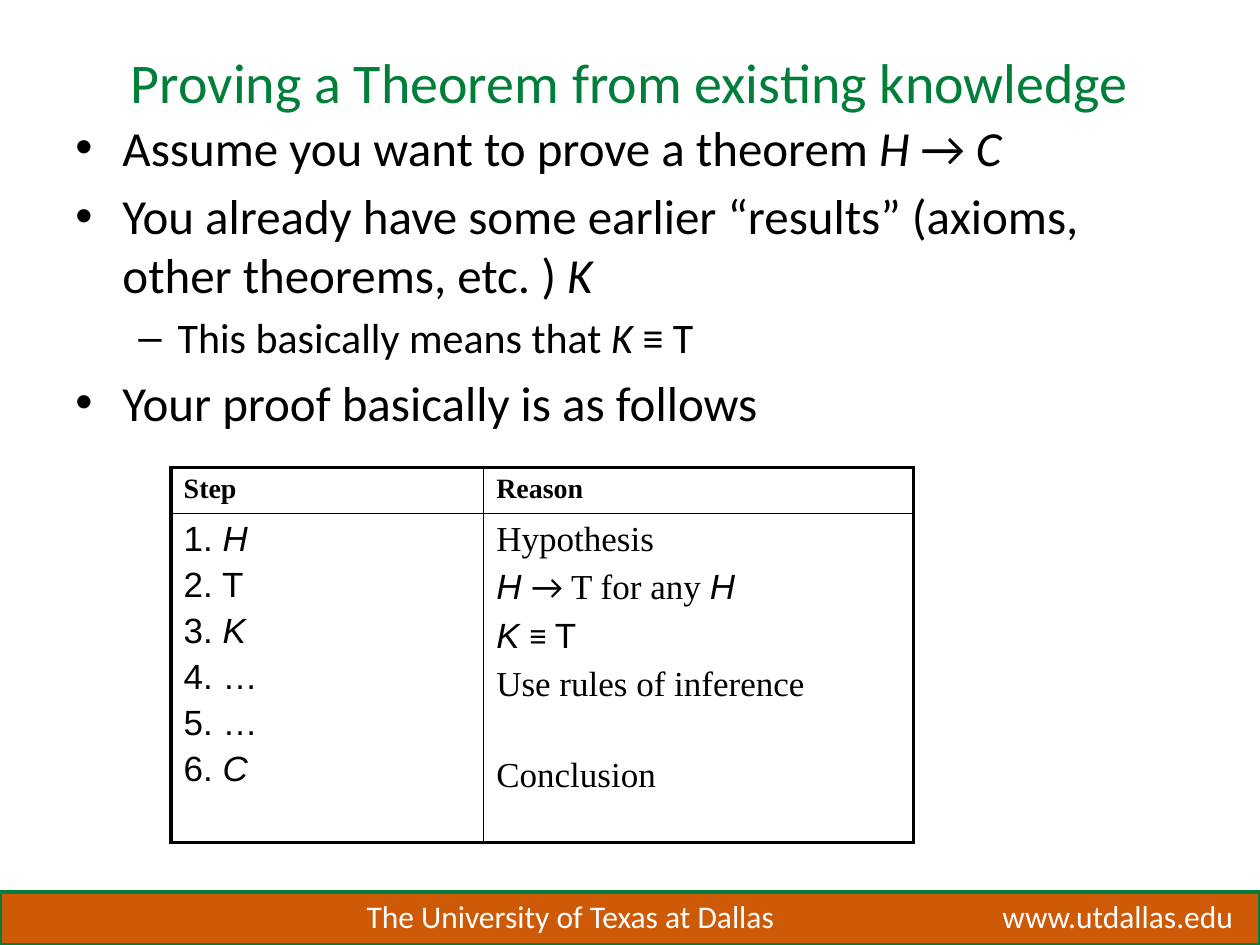
from dataclasses import dataclass

from lxml import etree
from pptx import Presentation
from pptx import util as u
from pptx.dml.color import RGBColor
from pptx.enum import shapes, text
from pptx.oxml import ns

GREEN = RGBColor(0x00, 0x7E, 0x3A)
ORANGE = RGBColor(0xCE, 0x5A, 0x08)
WHITE = RGBColor(0xFF, 0xFF, 0xFF)
BLACK = RGBColor(0x00, 0x00, 0x00)
SANS, ARIAL, SERIF = "Calibri", "Arial", "Times New Roman"
THIN, THICK = 1, 2.25


@dataclass
class Run:
    text: str
    font: str = SANS
    italic: bool = False
    bold: bool = False


@dataclass
class Line:
    runs: list[Run]
    size: float
    level: int = 0
    before: float | None = None  # points; a fifth of the size if not given


@dataclass
class Bullet:
    char: str
    margin: u.Length
    hang: u.Length


@dataclass
class Footer:
    text: str
    left: float
    width: float


BULLETS = [Bullet("•", u.Cm(0.95), u.Cm(0.95)),
           Bullet("–", u.Cm(2.06), u.Cm(0.79))]

FOOTERS = [Footer("The University of Texas at Dallas", 7.14, 8.81),
           Footer("www.utdallas.edu", 19.96, 5.21)]

POINTS = [
    Line([Run("Assume you want to prove a theorem "), Run("H ", italic=True),
          Run("→ "), Run("C", italic=True)], 28),
    Line([Run("You already have some earlier “results” (axioms, other theorems, etc. ) "),
          Run("K", italic=True)], 28),
    Line([Run("This basically means that "), Run("K ", italic=True), Run("≡ T")], 24, level=1),
    Line([Run("Your proof basically is as follows")], 28),
]

HEADINGS = [[Line([Run(name, SERIF, bold=True)], 16)] for name in ("Step", "Reason")]
STEPS = [Line([Run(f"{n}. ", ARIAL), Run(step, ARIAL, italic=step in "HKC")], 20)
         for n, step in enumerate("HTK……C", 1)]
REASONS = [
    Line([Run("Hypothesis", SERIF)], 20),
    Line([Run("H ", ARIAL, italic=True), Run("→"), Run(" T for any ", SERIF),
          Run("H", ARIAL, italic=True)], 20),
    Line([Run("K ", ARIAL, italic=True), Run("≡ "), Run("T", ARIAL)], 20),
    Line([Run("Use rules of inference", SERIF)], 20),
    Line([Run("Conclusion", SERIF)], 20, before=30),  # level with step 6
]


def style(font, size: float, color: RGBColor, name: str = SANS) -> None:
    font.name, font.size, font.color.rgb = name, u.Pt(size), color


def add_bullet(p, bullet: Bullet) -> None:
    props = p._p.get_or_add_pPr()
    props.set("marL", str(bullet.margin))
    props.set("indent", str(-bullet.hang))
    etree.SubElement(props, ns.qn("a:buFont"), typeface=ARIAL)
    etree.SubElement(props, ns.qn("a:buChar"), char=bullet.char)


def write_lines(tf, lines: list[Line], bulleted: bool = False) -> None:
    for i, line in enumerate(lines):
        p = tf.add_paragraph() if i else tf.paragraphs[0]
        p.level = line.level
        if i:
            p.space_before = u.Pt(line.size / 5 if line.before is None else line.before)
        if bulleted:
            add_bullet(p, BULLETS[line.level])
        for run in line.runs:
            r = p.add_run()
            r.text = run.text
            style(r.font, line.size, BLACK, run.font)
            r.font.italic, r.font.bold = run.italic, run.bold


def set_borders(cell, widths: dict[str, float]) -> None:
    """Put the side lines ahead of the fill, as the schema asks."""
    props = cell._tc.get_or_add_tcPr()
    for i, (side, width) in enumerate(widths.items()):
        ln = etree.Element(ns.qn(f"a:ln{side}"), w=str(u.Pt(width)))
        fill = etree.SubElement(ln, ns.qn("a:solidFill"))
        etree.SubElement(fill, ns.qn("a:srgbClr"), val=str(BLACK))
        props.insert(i, ln)


def add_footer(s) -> None:
    bar = s.shapes.add_shape(shapes.MSO_SHAPE.RECTANGLE,
                             u.Cm(0), u.Cm(17.98), u.Cm(25.4), u.Cm(1.07))
    bar.shadow.inherit = False
    bar.fill.solid()
    bar.fill.fore_color.rgb = ORANGE
    bar.line.color.rgb = GREEN
    bar.line.width = u.Pt(2)
    for item in FOOTERS:
        sp = s.shapes.add_textbox(u.Cm(item.left), u.Cm(17.96), u.Cm(item.width), u.Cm(1.02))
        tf = sp.text_frame
        tf.word_wrap = False
        tf.text = item.text
        style(tf.paragraphs[0].runs[0].font, 18, WHITE)


def add_title(s) -> None:
    sp = s.shapes.title
    sp.left, sp.top, sp.width, sp.height = u.Cm(1.27), u.Cm(0.76), u.Cm(22.86), u.Cm(1.75)
    tf = sp.text_frame
    tf.text = "Proving a Theorem from existing knowledge"
    tf.vertical_anchor = text.MSO_ANCHOR.MIDDLE
    p = tf.paragraphs[0]
    p.alignment = text.PP_ALIGN.CENTER
    style(p.runs[0].font, 32, GREEN)


def add_points(s) -> None:
    sp = s.shapes.add_textbox(u.Cm(1.27), u.Cm(2.24), u.Cm(22.86), u.Cm(6.83))
    sp.text_frame.word_wrap = True
    write_lines(sp.text_frame, POINTS, bulleted=True)


def add_proof(s) -> None:
    rows = [HEADINGS, [STEPS, REASONS]]
    table = s.shapes.add_table(2, 2, u.Cm(3.45), u.Cm(9.42), u.Cm(14.96), u.Cm(7.37)).table
    table.first_row = table.horz_banding = False
    for column, width in zip(table.columns, (6.3, 8.66)):
        column.width = u.Cm(width)
    for row, height in zip(table.rows, (0.74, 6.63)):
        row.height = u.Cm(height)
    for i, row in enumerate(rows):
        for j, lines in enumerate(row):
            cell = table.cell(i, j)
            cell.fill.background()
            write_lines(cell.text_frame, lines)
            # Thick on the outside, thin between cells
            set_borders(cell, {"L": THIN if j else THICK, "R": THICK if j else THIN,
                               "T": THIN if i else THICK, "B": THICK if i else THIN})


def main() -> None:
    prs = Presentation()
    prs.slide_width, prs.slide_height = u.Cm(25.4), u.Cm(19.05)
    s = prs.slides.add_slide(prs.slide_layouts[5])  # title only
    add_footer(s)
    add_title(s)
    add_points(s)
    add_proof(s)
    prs.save("out.pptx")


if __name__ == "__main__":
    main()
